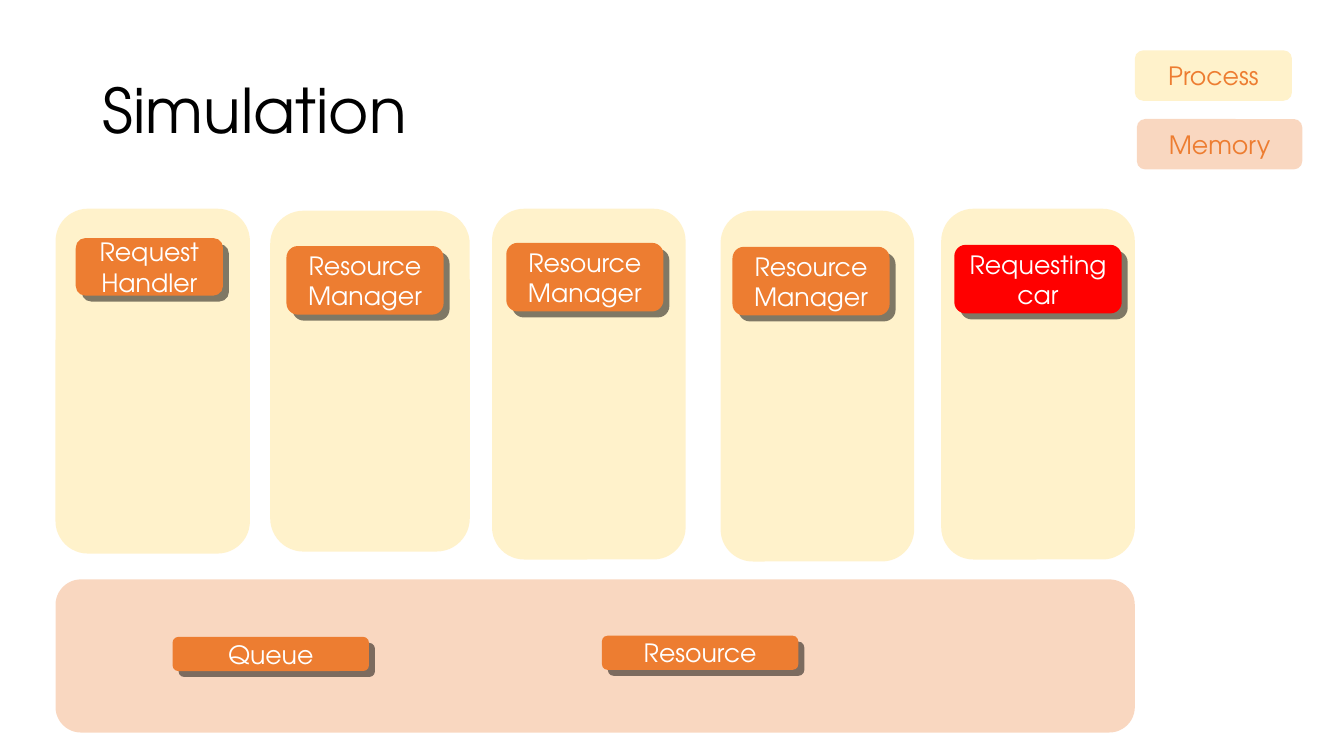
from lxml.etree import SubElement
from pptx import Presentation
from pptx.dml.color import RGBColor
from pptx.enum.shapes import MSO_SHAPE
from pptx.enum.text import MSO_ANCHOR, MSO_AUTO_SIZE, PP_ALIGN
from pptx.oxml.ns import qn
from pptx.util import Cm, Pt

FONT = "TeX Gyre Adventor"
COLOURS = {
    "process": "FFE699",
    "memory": "F4B183",
    "label": "ED7D31",
    "car": "FF0000",
    "shade": "000000",
    "title": "000000",
    "white": "FFFFFF",
}
SHADE_OFFSET = 0.15

# Each process: panel box, label offset in the panel, label size, wording, colour
PROCESSES = [
    ((1.4, 5.26, 4.9, 8.69), (0.51, 0.74), (3.71, 1.45), "Request Handler", "label"),
    ((6.81, 5.31, 5.03, 8.59), (0.41, 0.89), (3.96, 1.73), "Resource Manager", "label"),
    ((12.4, 5.26, 4.88, 8.84), (0.36, 0.86), (3.96, 1.73), "Resource Manager", "label"),
    ((18.16, 5.31, 4.88, 8.84), (0.3, 0.91), (3.96, 1.73), "Resource Manager", "label"),
    ((23.72, 5.26, 4.88, 8.84), (0.33, 0.91), (4.22, 1.73), "Requesting car", "car"),
]
MEMORY_LABELS = [("Queue", 2.95, 1.45), ("Resource", 13.77, 1.42)]


def format_text(frame, size, colour):
    """Give every run of a text frame the slide's font, a size and a colour."""
    for para in frame.paragraphs:
        for span in para.runs:
            span.font.name = FONT
            span.font.size = Pt(size)
            span.font.color.rgb = RGBColor.from_string(COLOURS[colour])


def add_rounded(page, box, fill, opacity=100, text="", text_colour="white"):
    """Draw a borderless rounded rectangle with optional centred text."""
    shape = page.shapes.add_shape(
        MSO_SHAPE.ROUNDED_RECTANGLE, *(Cm(length) for length in box))
    shape.shadow.inherit = False
    shape.line.fill.background()
    shape.fill.solid()
    shape.fill.fore_color.rgb = RGBColor.from_string(COLOURS[fill])
    if opacity < 100:
        colour = next(shape._element.spPr.iter(qn("a:srgbClr")))
        SubElement(colour, qn("a:alpha")).set("val", str(opacity * 1000))
    if text:
        frame = shape.text_frame
        frame.text = text
        frame.word_wrap = True
        frame.vertical_anchor = MSO_ANCHOR.MIDDLE
        frame.paragraphs[0].alignment = PP_ALIGN.CENTER
        format_text(frame, 18, text_colour)


def add_label(page, box, text, fill="label"):
    """Draw a label over its offset grey shade."""
    left, top, width, height = box
    shade_box = (left + SHADE_OFFSET, top + SHADE_OFFSET, width, height)
    add_rounded(page, shade_box, "shade", 50)
    add_rounded(page, box, fill, text=text)


def add_title(page, box):
    """Place and format the title placeholder."""
    title = page.shapes.title
    title.left, title.top, title.width, title.height = (Cm(length) for length in box)
    frame = title.text_frame
    frame.text = "Simulation"
    frame.auto_size = MSO_AUTO_SIZE.NONE
    frame.vertical_anchor = MSO_ANCHOR.MIDDLE
    frame.paragraphs[0].alignment = PP_ALIGN.LEFT
    frame.paragraphs[0].line_spacing = 0.9
    format_text(frame, 44, "title")


def add_process(page, box, offset, size, text, fill):
    """Draw one process panel with its label."""
    add_rounded(page, box, "process", 50)
    add_label(page, (box[0] + offset[0], box[1] + offset[1], *size), text, fill)


def add_memory(page, box):
    """Draw the shared memory panel with its labels."""
    add_rounded(page, box, "memory", 50)
    for text, across, down in MEMORY_LABELS:
        add_label(page, (box[0] + across, box[1] + down, 4.95, 0.86), text)


def add_legend(page, box):
    """Draw the key to the two panel colours."""
    left, top, width, height = box
    add_rounded(page, (left, top, width - 0.26, height), "process", 50,
                "Process", "label")
    add_rounded(page, (left + 0.05, top + 1.73, width - 0.05, height), "memory", 50,
                "Memory", "label")


def build_simulation(deck):
    """Add the simulation slide to the deck."""
    page = deck.slides.add_slide(deck.slide_layouts[5])
    add_title(page, (2.34, 1.02, 29.2, 3.68))
    add_legend(page, (28.6, 1.27, 4.22, 1.27))
    for process in PROCESSES:
        add_process(page, *process)
    add_memory(page, (1.4, 14.6, 27.2, 3.86))


deck = Presentation()
deck.slide_width, deck.slide_height = Cm(33.87), Cm(19.05)
build_simulation(deck)
deck.save("out.pptx")
